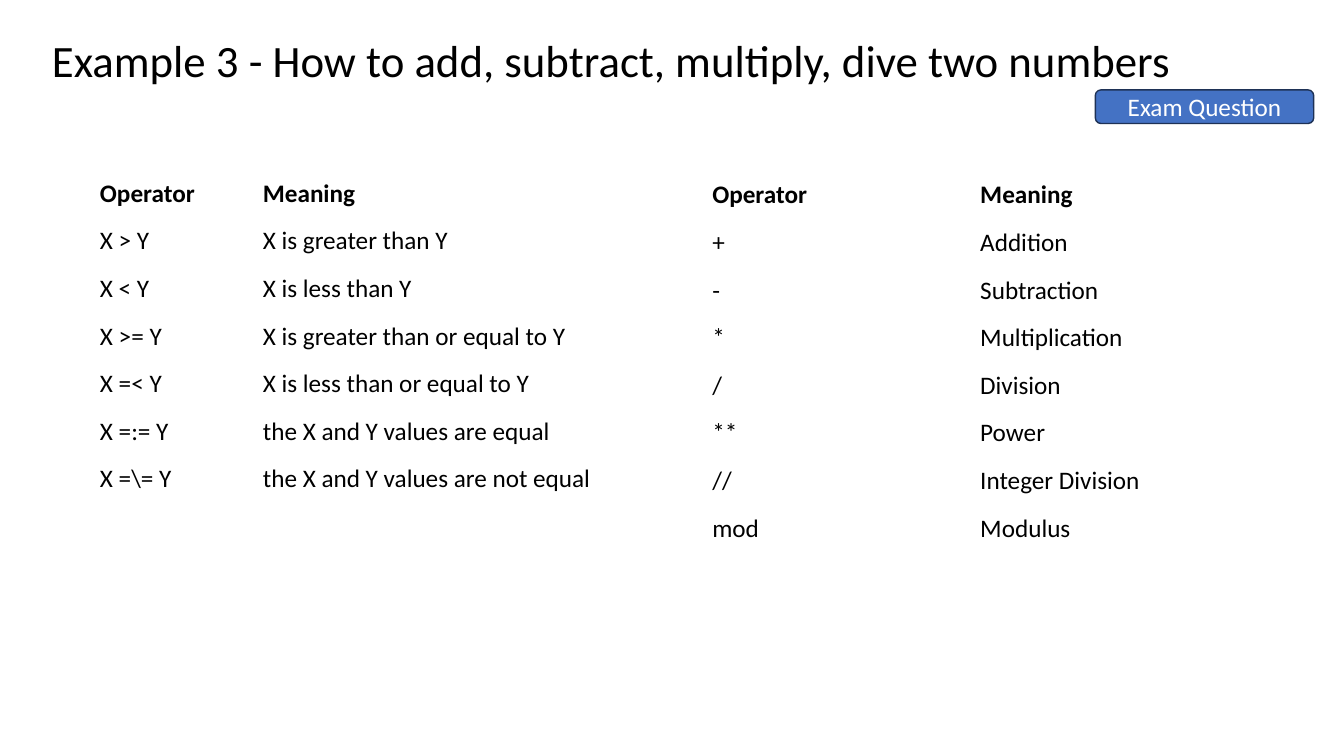
from pptx import Presentation
from pptx.dml.color import RGBColor
from pptx.enum.shapes import MSO_SHAPE as Shape
from pptx.enum.text import MSO_ANCHOR as Anchor, PP_ALIGN as Align
from pptx.util import Inches, Pt

# The slide is a grid of 160 columns by 90 rows of square cells
COLUMNS, ROWS = 160, 90
WIDTH, HEIGHT = Inches(13.33), Inches(7.5)
ROW_HEIGHT = 5.67
MARGINS = ("margin_left", "margin_top", "margin_right", "margin_bottom")

COMPARISONS = [
    ("Operator", "Meaning"),
    ("X > Y", "X is greater than Y"),
    ("X < Y", "X is less than Y"),
    ("X >= Y", "X is greater than or equal to Y"),
    ("X =< Y", "X is less than or equal to Y"),
    ("X =:= Y", "the X and Y values are equal"),
    (r"X =\= Y", "the X and Y values are not equal"),
]
ARITHMETIC = [
    ("Operator", "Meaning"),
    ("+", "Addition"),
    ("-", "Subtraction"),
    ("*", "Multiplication"),
    ("/", "Division"),
    ("**", "Power"),
    ("//", "Integer Division"),
    ("mod", "Modulus"),
]


def across(columns):
    return round(WIDTH * columns / COLUMNS)


def down(rows):
    return round(HEIGHT * rows / ROWS)


def place(box):
    left, top, width, height = box
    return across(left), down(top), across(width), down(height)


def color(value):
    return RGBColor.from_string(value)


def paint(target, value):
    target.fill.solid()
    target.fill.fore_color.rgb = color(value)


def apply(target, values):
    for name, value in values.items():
        setattr(target, name, value)


def write(frame, text, size=18, ink="000000", bold=False, **para_format):
    para = frame.paragraphs[0]
    apply(para, para_format)
    span = para.add_run()
    span.text = text
    apply(span.font, {"name": "Calibri", "size": Pt(size), "bold": bold})
    span.font.color.rgb = color(ink)


def add_title(page, box, text):
    frame = page.shapes.add_textbox(*place(box)).text_frame
    apply(frame, {"word_wrap": True, "vertical_anchor": Anchor.MIDDLE})
    write(frame, text, size=32, line_spacing=0.9)


def add_badge(page, box, text):
    badge = page.shapes.add_shape(Shape.ROUNDED_RECTANGLE, *place(box))
    badge.shadow.inherit = False
    paint(badge, "4472C4")
    badge.line.color.rgb = color("1E3256")
    badge.line.width = Pt(1)
    badge.text_frame.vertical_anchor = Anchor.MIDDLE
    write(badge.text_frame, text, ink="FFFFFF", alignment=Align.CENTER)


def add_operators(page, corner, widths, entries):
    box = (*corner, sum(widths), ROW_HEIGHT * len(entries))
    table = page.shapes.add_table(len(entries), len(widths), *place(box)).table
    table.horz_banding = False
    for column, width in zip(table.columns, widths):
        column.width = across(width)
    cell_format = dict.fromkeys(MARGINS, across(1))
    cell_format["vertical_anchor"] = Anchor.MIDDLE
    for row, entry in enumerate(entries):
        table.rows[row].height = down(ROW_HEIGHT)
        for column, text in enumerate(entry):
            cell = table.cell(row, column)
            apply(cell, cell_format)
            paint(cell, "FFFFFF")
            write(cell.text_frame, text, bold=row == 0)


def main():
    deck = Presentation()
    apply(deck, {"slide_width": WIDTH, "slide_height": HEIGHT})
    page = deck.slides.add_slide(deck.slide_layouts[6])

    # Heading
    add_title(page, (5, 2.6, 148, 9.7),
              "Example 3 - How to add, subtract, multiply, dive two numbers")
    add_badge(page, (130.4, 10.7, 26, 4), "Exam Question")

    # Operator tables
    add_operators(page, (10.9, 20.2), (19.4, 44.7), COMPARISONS)
    add_operators(page, (83.8, 20.4), (31.9, 25.1), ARITHMETIC)

    deck.save("out.pptx")


if __name__ == "__main__":
    main()
